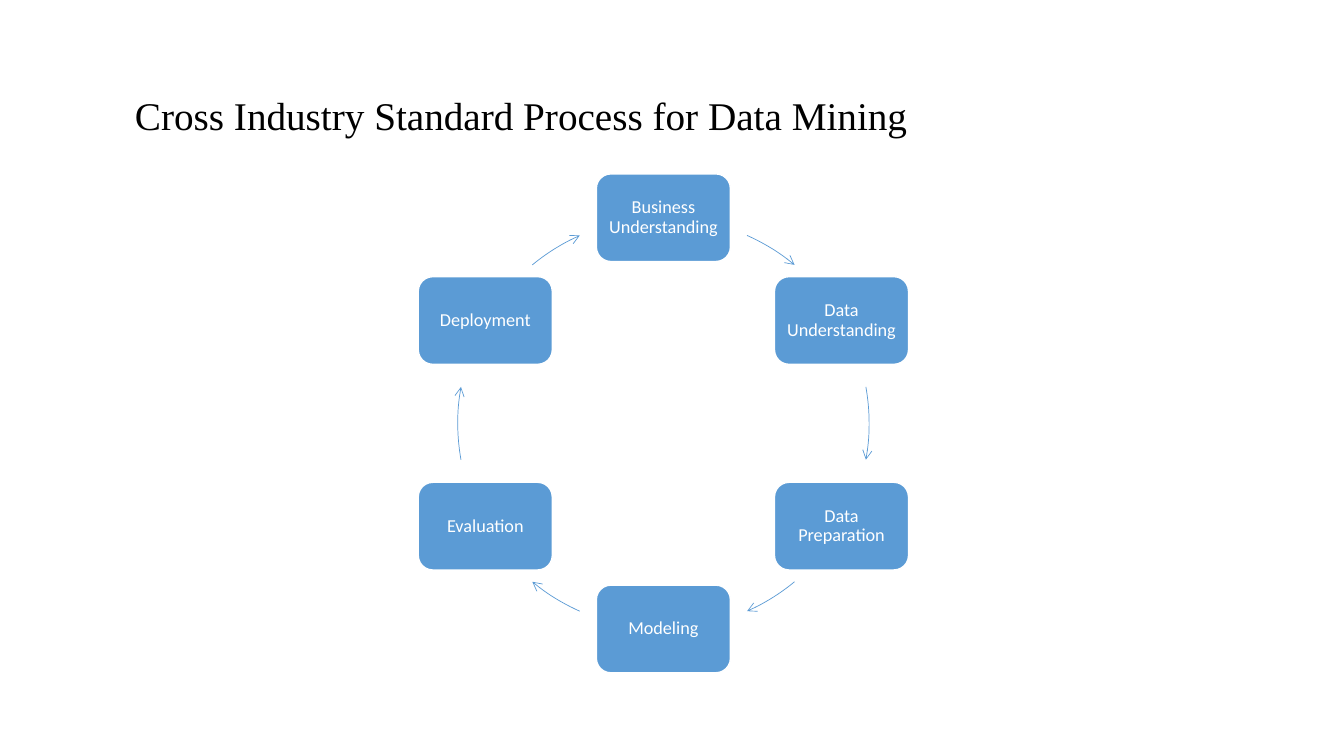
import math

import pptx
import pptx.dml.color
import pptx.enum.shapes
import pptx.enum.text
import pptx.oxml
import pptx.oxml.ns
import pptx.util
from pptx.util import Inches

BLUE = "5B9BD5"
WHITE = "FFFFFF"
CENTER_X, CENTER_Y, RADIUS = 6.58, 4.2, 2.04
BOX_W, BOX_H = 1.33, 0.87
PHASES = [
    "Business Understanding",
    "Data Understanding",
    "Data Preparation",
    "Modeling",
    "Evaluation",
    "Deployment",
]
# Middle and half sweep of each arc, in degrees clockwise from three o'clock
ARCS = [(-58.2, 7.8), (0, 10.2), (58.2, 7.8), (121.8, 7.8), (180, 10.2), (238.2, 7.8)]


def color(hex_value):
    return pptx.dml.color.RGBColor.from_string(hex_value)


def set_text(sp, text, font, size, hex_value, align, inset_x):
    tf = sp.text_frame
    tf.word_wrap = True
    tf.vertical_anchor = pptx.enum.text.MSO_ANCHOR.MIDDLE
    tf.margin_left = tf.margin_right = Inches(inset_x)
    tf.margin_top = tf.margin_bottom = Inches(0.05)
    p = tf.paragraphs[0]
    p.text = text
    p.alignment = align
    p.line_spacing = 0.9
    p.font.name = font
    p.font.size = pptx.util.Pt(size)
    p.font.color.rgb = color(hex_value)


def add_title(s, text):
    sp = s.shapes.add_textbox(Inches(1.24), Inches(0.7), Inches(10.19), Inches(0.94))
    set_text(sp, text, "Times New Roman", 28, "000000",
             pptx.enum.text.PP_ALIGN.LEFT, 0.1)


def add_phase(s, text, degrees):
    """Add a rounded box centred on the cycle at the given angle."""
    angle = math.radians(degrees)
    left = CENTER_X + RADIUS * math.cos(angle) - BOX_W / 2
    top = CENTER_Y + RADIUS * math.sin(angle) - BOX_H / 2
    sp = s.shapes.add_shape(
        pptx.enum.shapes.MSO_SHAPE.ROUNDED_RECTANGLE,
        Inches(left), Inches(top), Inches(BOX_W), Inches(BOX_H))
    sp.shadow.inherit = False
    sp.fill.solid()
    sp.fill.fore_color.rgb = color(BLUE)
    sp.line.color.rgb = color(WHITE)
    sp.line.width = pptx.util.Pt(1)
    set_text(sp, text, "Calibri", 13, WHITE,
             pptx.enum.text.PP_ALIGN.CENTER, 0.05)


def add_arc_arrow(s, middle, half_sweep):
    sp = s.shapes.add_shape(
        pptx.enum.shapes.MSO_SHAPE.ARC,
        Inches(CENTER_X - RADIUS), Inches(CENTER_Y - RADIUS),
        Inches(2 * RADIUS), Inches(2 * RADIUS))
    # Angles are stored in 60000ths of a degree, adjustments in 100000ths
    for i, degrees in enumerate((middle - half_sweep, middle + half_sweep)):
        sp.adjustments[i] = degrees % 360 * 0.6
    sp.shadow.inherit = False
    sp.fill.background()
    sp.line.color.rgb = color(BLUE)
    sp.line.width = pptx.util.Pt(0.5)
    ln = sp.element.spPr.find(pptx.oxml.ns.qn("a:ln"))
    ln.append(pptx.oxml.parse_xml(
        f'<a:tailEnd {pptx.oxml.ns.nsdecls("a")} type="arrow"/>'))


def main():
    prs = pptx.Presentation()
    prs.slide_width, prs.slide_height = Inches(13.33), Inches(7.5)
    s = prs.slides.add_slide(prs.slide_layouts[6])
    add_title(s, "Cross Industry Standard Process for Data Mining")
    for i, (phase, arc) in enumerate(zip(PHASES, ARCS)):
        add_phase(s, phase, 60 * i - 90)
        add_arc_arrow(s, *arc)
    prs.save("out.pptx")


if __name__ == "__main__":
    main()
